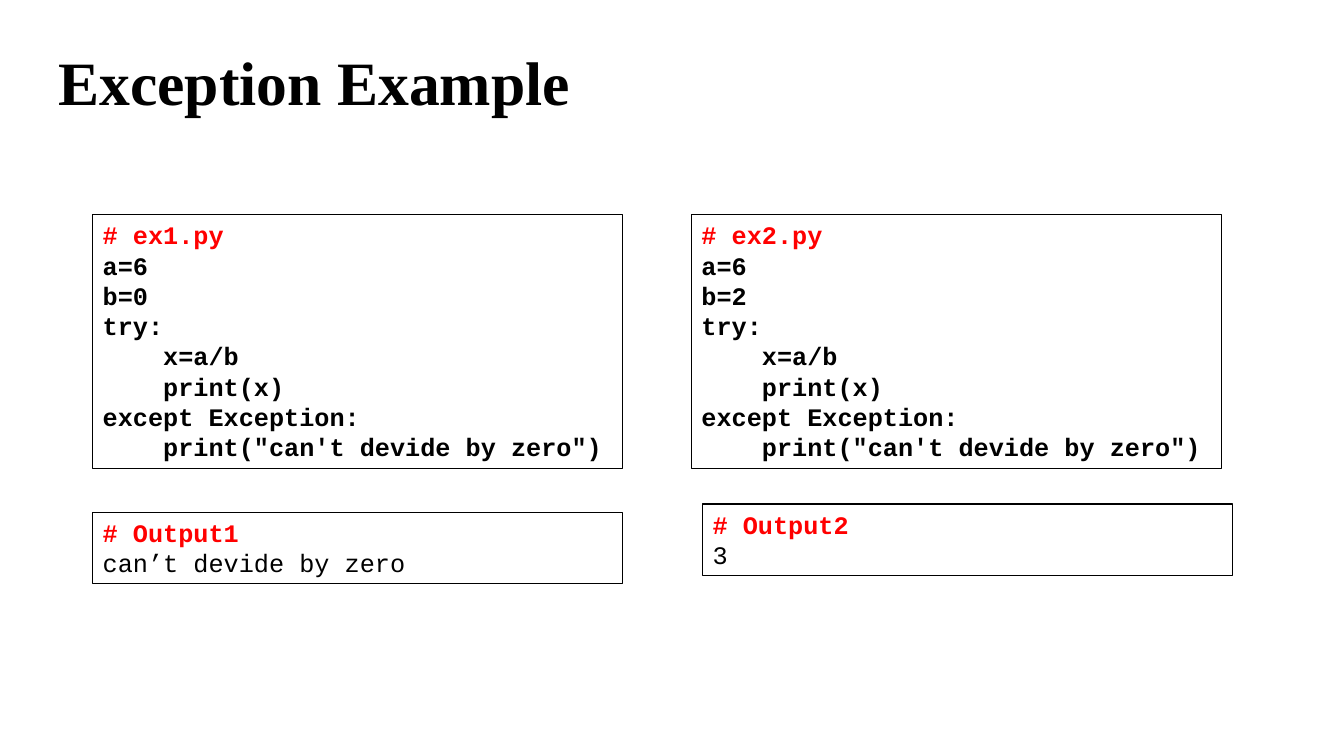
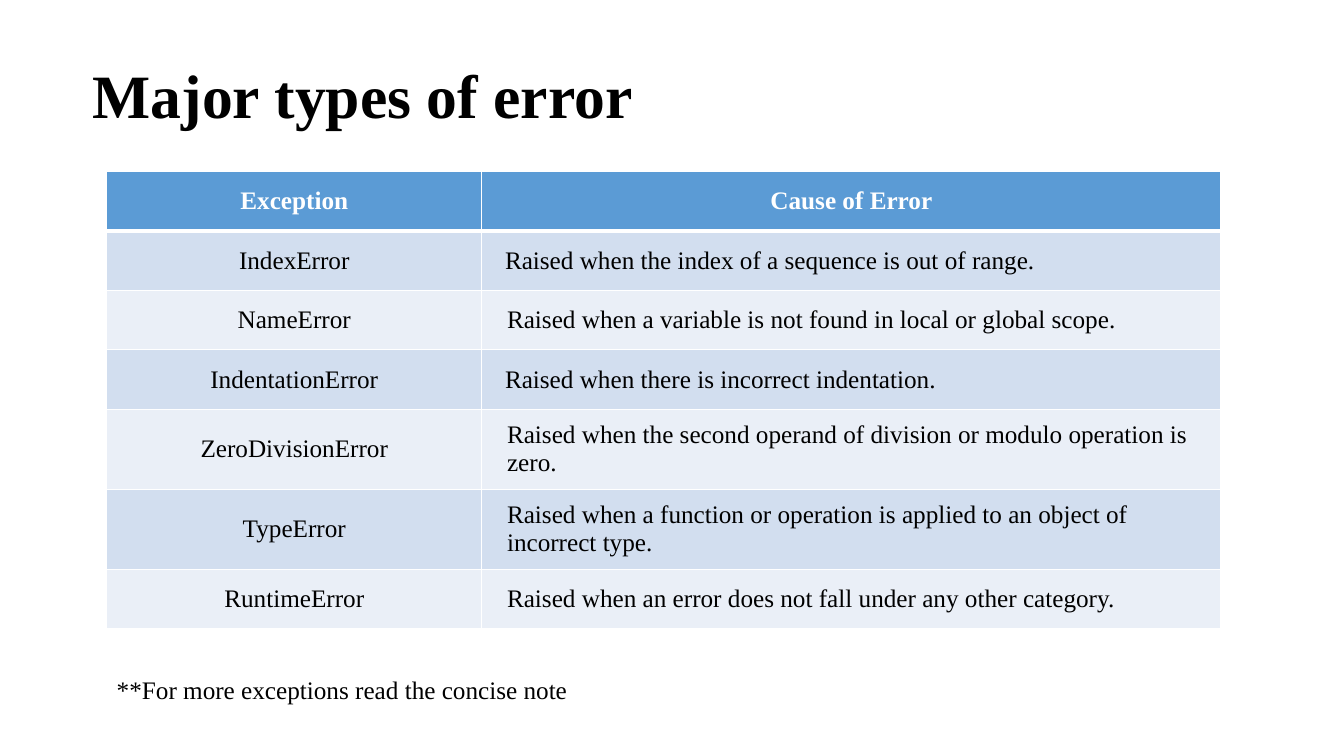
import lxml.etree
import pptx
import pptx.dml.color
import pptx.enum.shapes
import pptx.enum.text
import pptx.oxml.ns
import pptx.util

# Shared look
RGBColor = pptx.dml.color.RGBColor
BLACK = RGBColor(0x00, 0x00, 0x00)
WHITE = RGBColor(0xFF, 0xFF, 0xFF)
RED = RGBColor(0xFF, 0x00, 0x00)
HEADER_BLUE = RGBColor(0x5B, 0x9B, 0xD5)
BANDS = (RGBColor(0xD2, 0xDE, 0xEF), RGBColor(0xEA, 0xEF, 0xF7))
SERIF = "Times New Roman"
MONO = "Courier New"
LEFT = pptx.enum.text.PP_ALIGN.LEFT
CENTER = pptx.enum.text.PP_ALIGN.CENTER
MIDDLE = pptx.enum.text.MSO_ANCHOR.MIDDLE
GROW = pptx.enum.text.MSO_AUTO_SIZE.SHAPE_TO_FIT_TEXT
TITLE_ONLY = 5
SLIDE_WIDTH = pptx.util.Inches(13.33)
SLIDE_HEIGHT = pptx.util.Inches(7.5)

# Content
CODE = """# ex{number}.py
a=6
b={divisor}
try:
    x=a/b
    print(x)
except Exception:
    print("can't devide by zero")"""
HEADINGS = ("Exception", "Cause of Error")
WIDE, NARROW = (0.25, 0.12), (0.23, 0.05)  # cell insets: sides, top and bottom
ERRORS = (
    ("IndexError", "Raised when the index of a sequence is out of range.", NARROW),
    ("NameError", "Raised when a variable is not found in local or global scope.", WIDE),
    ("IndentationError", "Raised when there is incorrect indentation.", NARROW),
    ("ZeroDivisionError",
     "Raised when the second operand of division or modulo operation is zero.", WIDE),
    ("TypeError",
     "Raised when a function or operation is applied to an object of incorrect type.", WIDE),
    ("RuntimeError", "Raised when an error does not fall under any other category.", WIDE),
)


def across(percent):
    return round(SLIDE_WIDTH * percent / 100)


def down(percent):
    return round(SLIDE_HEIGHT * percent / 100)


def area(left, top, width, height):
    """Turn percentages of the slide into a position and size."""
    return across(left), down(top), across(width), down(height)


def write(para, text, *, font=SERIF, size=18, color=BLACK, bold=False,
          align=LEFT, spacing=None):
    para.alignment = align
    if spacing:
        para.line_spacing = spacing
    span = para.add_run()
    span.text = text
    span.font.name = font
    span.font.size = pptx.util.Pt(size)
    span.font.bold = bold
    span.font.color.rgb = color


def add_page(deck, title, left, top):
    page = deck.slides.add_slide(deck.slide_layouts[TITLE_ONLY])
    box = page.shapes.title
    box.left, box.top, box.width, box.height = area(left, top, 86.25, 19.33)
    box.text_frame.vertical_anchor = MIDDLE
    write(box.text_frame.paragraphs[0], title, size=44, bold=True, spacing=0.9)
    return page


def add_listing(page, text, left, top, bold):
    """Outlined box with a red first line above monospaced lines."""
    lines = text.split("\n")
    box = page.shapes.add_shape(pptx.enum.shapes.MSO_SHAPE.RECTANGLE,
                                *area(left, top, 39.45, 1.4 + 4.03 * len(lines)))
    box.shadow.inherit = False
    box.fill.background()
    box.line.color.rgb = BLACK
    box.line.width = pptx.util.Pt(0.75)
    frame = box.text_frame
    frame.word_wrap = True
    frame.auto_size = GROW
    frame.vertical_anchor = pptx.enum.text.MSO_ANCHOR.TOP
    for index, line in enumerate(lines):
        para = frame.add_paragraph() if index else frame.paragraphs[0]
        write(para, line, font=MONO, color=BLACK if index else RED,
              bold=bold or index == 0)


def add_border(cell, side, points):
    qn = pptx.oxml.ns.qn
    properties = cell._tc.get_or_add_tcPr()
    line = lxml.etree.SubElement(properties, qn("a:ln" + side),
                                 w=str(pptx.util.Pt(points)))
    fill = lxml.etree.SubElement(line, qn("a:solidFill"))
    lxml.etree.SubElement(fill, qn("a:srgbClr"), val=str(WHITE))


def style_cell(cell, fill, top=1, bottom=1, inset=None):
    for side, points in (("L", 1), ("R", 1), ("T", top), ("B", bottom)):
        add_border(cell, side, points)
    cell.fill.solid()
    cell.fill.fore_color.rgb = fill
    cell.vertical_anchor = MIDDLE
    if inset:
        sides, ends = map(pptx.util.Inches, inset)
        cell.margin_left = cell.margin_right = sides
        cell.margin_top = cell.margin_bottom = ends


def add_error_table(page):
    widths, row_height = (27.9, 55), 7.87
    count = len(ERRORS) + 1
    table = page.shapes.add_table(
        count, len(widths), *area(7.95, 22.67, sum(widths), row_height * count)).table
    for column, width in zip(table.columns, widths):
        column.width = across(width)
    for cell, heading in zip(table.rows[0].cells, HEADINGS):
        style_cell(cell, HEADER_BLUE, bottom=3)
        write(cell.text_frame.paragraphs[0], heading, color=WHITE, bold=True, align=CENTER)
    for index, (name, cause, inset) in enumerate(ERRORS):
        name_cell, cause_cell = table.rows[index + 1].cells
        band = BANDS[index % 2]
        top = 1 if index else 3
        style_cell(name_cell, band, top=top)
        style_cell(cause_cell, band, top=top, inset=inset)
        write(name_cell.text_frame.paragraphs[0], name, align=CENTER)
        write(cause_cell.text_frame.paragraphs[0], cause)


def add_note(page, text):
    box = page.shapes.add_textbox(*area(7.95, 88.53, 36.15, 5.33))
    box.text_frame.word_wrap = False
    box.text_frame.auto_size = GROW
    write(box.text_frame.paragraphs[0], text)


def main():
    deck = pptx.Presentation()
    deck.slide_width, deck.slide_height = SLIDE_WIDTH, SLIDE_HEIGHT

    # Two programs above their outputs
    page = add_page(deck, "Exception Example", 3.6, 1.6)
    add_listing(page, CODE.format(number=1, divisor=0), 6.9, 28.4, True)
    add_listing(page, CODE.format(number=2, divisor=2), 51.45, 28.4, True)
    add_listing(page, "# Output1\ncan’t devide by zero", 6.9, 67.73, False)
    add_listing(page, "# Output2\n3", 52.28, 66.67, False)

    # Table of errors
    page = add_page(deck, "Major types of error", 6.15, 3.33)
    add_error_table(page)
    add_note(page, "**For more exceptions read the concise note")

    deck.save("out.pptx")


main()
